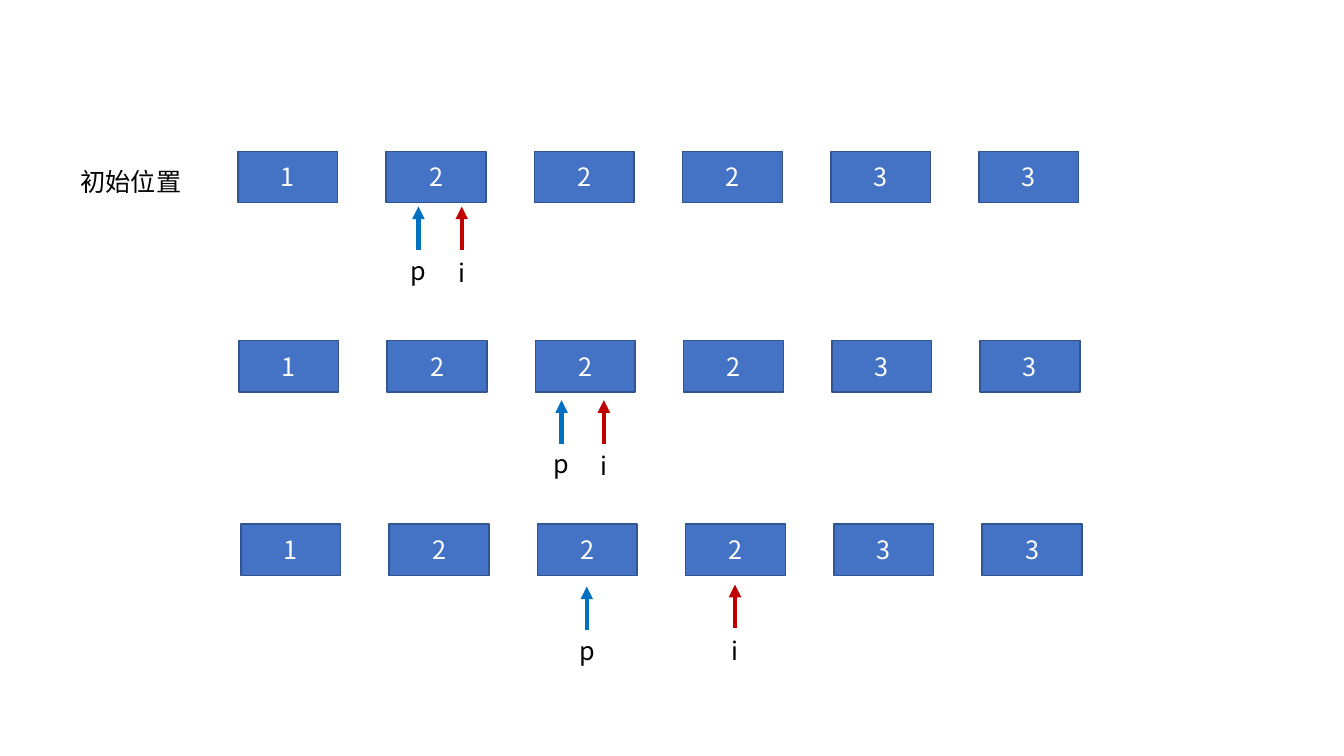
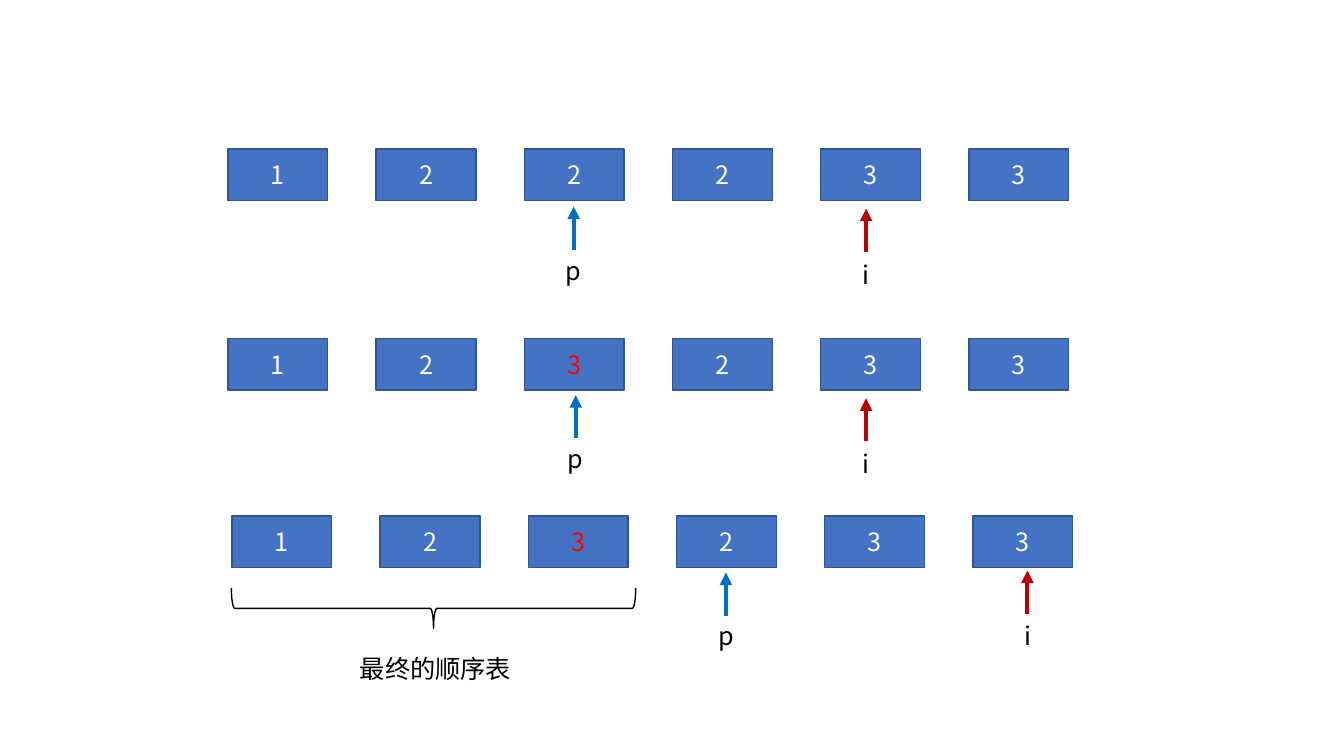
from lxml import etree
from pptx import Presentation
from pptx.dml.color import RGBColor
from pptx.enum.shapes import MSO_CONNECTOR, MSO_SHAPE
from pptx.enum.text import MSO_ANCHOR, MSO_AUTO_SIZE, PP_ALIGN
from pptx.oxml.ns import qn
from pptx.util import Inches, Pt

RECTANGLE = MSO_SHAPE.RECTANGLE
LEFT_BRACE = MSO_SHAPE.LEFT_BRACE
STRAIGHT = MSO_CONNECTOR.STRAIGHT
MIDDLE = MSO_ANCHOR.MIDDLE
FIT_TEXT = MSO_AUTO_SIZE.SHAPE_TO_FIT_TEXT
CENTER = PP_ALIGN.CENTER
LEFT = PP_ALIGN.LEFT

FONT = "Noto Sans CJK SC"
CELL_FILL, CELL_BORDER = "4472C4", "325491"
WHITE, BLACK, RED = "FFFFFF", "000000", "FF0000"
CELL_WIDTH, CELL_HEIGHT, CELL_PITCH = 0.99, 0.51, 1.47
ARROW_LENGTH, LABEL_HEIGHT = 0.43, 0.4

POINTERS = {
    "p": {"color": "0070C0", "width": 0.35, "drop": 0.43},
    "i": {"color": "C00000", "width": 0.26, "drop": 0.45},
}

SLIDES = [
    {
        "rows": [
            {"at": (2.36, 1.5), "values": "122233", "changed": None,
             "pointers": {"p": (4.15, 2.05), "i": (4.58, 2.05)}},
            {"at": (2.37, 3.38), "values": "122233", "changed": None,
             "pointers": {"p": (5.57, 3.97), "i": (5.99, 3.97)}},
            {"at": (2.39, 5.2), "values": "122233", "changed": None,
             "pointers": {"p": (5.82, 5.82), "i": (7.29, 5.8)}},
        ],
        "braces": [],
        "captions": [("初始位置", 0.7, 1.6, 1.49)],
    },
    {
        "rows": [
            {"at": (2.26, 1.48), "values": "122233", "changed": None,
             "pointers": {"p": (5.69, 2.05), "i": (8.59, 2.07)}},
            {"at": (2.26, 3.36), "values": "123233", "changed": 2,
             "pointers": {"p": (5.71, 3.92), "i": (8.59, 3.95)}},
            {"at": (2.3, 5.12), "values": "123233", "changed": 2,
             "pointers": {"p": (7.2, 5.68), "i": (10.19, 5.66)}},
        ],
        "braces": [(4.1, 4.03, 0.4, 4.01)],
        "captions": [("最终的顺序表", 3.47, 6.43, 2.39)],
    },
]


def rgb(color):
    return RGBColor.from_string(color)


def write(frame, text, color, align=LEFT):
    paragraph = frame.paragraphs[0]
    paragraph.alignment = align
    run = paragraph.add_run()
    run.text = text
    run.font.size = Pt(18)
    run.font.name = FONT
    run.font.color.rgb = rgb(color)
    east_asian = etree.SubElement(run.font._element, qn("a:ea"))
    east_asian.set("typeface", FONT)


def add_cell(slide, left, top, value, color):
    cell = slide.shapes.add_shape(RECTANGLE, Inches(left), Inches(top),
                                  Inches(CELL_WIDTH), Inches(CELL_HEIGHT))
    cell.shadow.inherit = False
    cell.fill.solid()
    cell.fill.fore_color.rgb = rgb(CELL_FILL)
    cell.line.color.rgb = rgb(CELL_BORDER)
    cell.line.width = Pt(1)
    cell.text_frame.vertical_anchor = MIDDLE
    write(cell.text_frame, value, color, CENTER)


def add_label(slide, text, left, top, width, wrap):
    label = slide.shapes.add_textbox(Inches(left), Inches(top),
                                     Inches(width), Inches(LABEL_HEIGHT))
    label.text_frame.word_wrap = wrap
    label.text_frame.auto_size = FIT_TEXT
    write(label.text_frame, text, BLACK)


def add_pointer(slide, name, x, tip):
    style = POINTERS[name]
    arrow = slide.shapes.add_connector(STRAIGHT, Inches(x), Inches(tip + ARROW_LENGTH),
                                       Inches(x), Inches(tip))
    arrow.line.color.rgb = rgb(style["color"])
    arrow.line.width = Pt(3)
    etree.SubElement(arrow.line._get_or_add_ln(), qn("a:tailEnd")).set("type", "triangle")
    etree.SubElement(arrow._element.spPr, qn("a:effectLst"))
    add_label(slide, name, x - style["width"] / 2, tip + style["drop"], style["width"], False)


def add_brace(slide, box):
    brace = slide.shapes.add_shape(LEFT_BRACE, *map(Inches, box))
    brace.rotation = 270
    brace.shadow.inherit = False
    brace.fill.background()
    brace.line.color.rgb = rgb(BLACK)
    brace.line.width = Pt(1)


def add_row(slide, row):
    left, top = row["at"]
    for index, value in enumerate(row["values"]):
        color = RED if index == row["changed"] else WHITE
        add_cell(slide, left + index * CELL_PITCH, top, value, color)
    for name, (x, tip) in row["pointers"].items():
        add_pointer(slide, name, x, tip)


def main():
    """Build the two slides tracing pointers p and i through a sorted list."""
    deck = Presentation()
    deck.slide_width, deck.slide_height = Inches(13.33), Inches(7.5)
    for content in SLIDES:
        slide = deck.slides.add_slide(deck.slide_layouts[6])
        for row in content["rows"]:
            add_row(slide, row)
        for box in content["braces"]:
            add_brace(slide, box)
        for text, left, top, width in content["captions"]:
            add_label(slide, text, left, top, width, True)
    deck.save("out.pptx")


if __name__ == "__main__":
    main()
